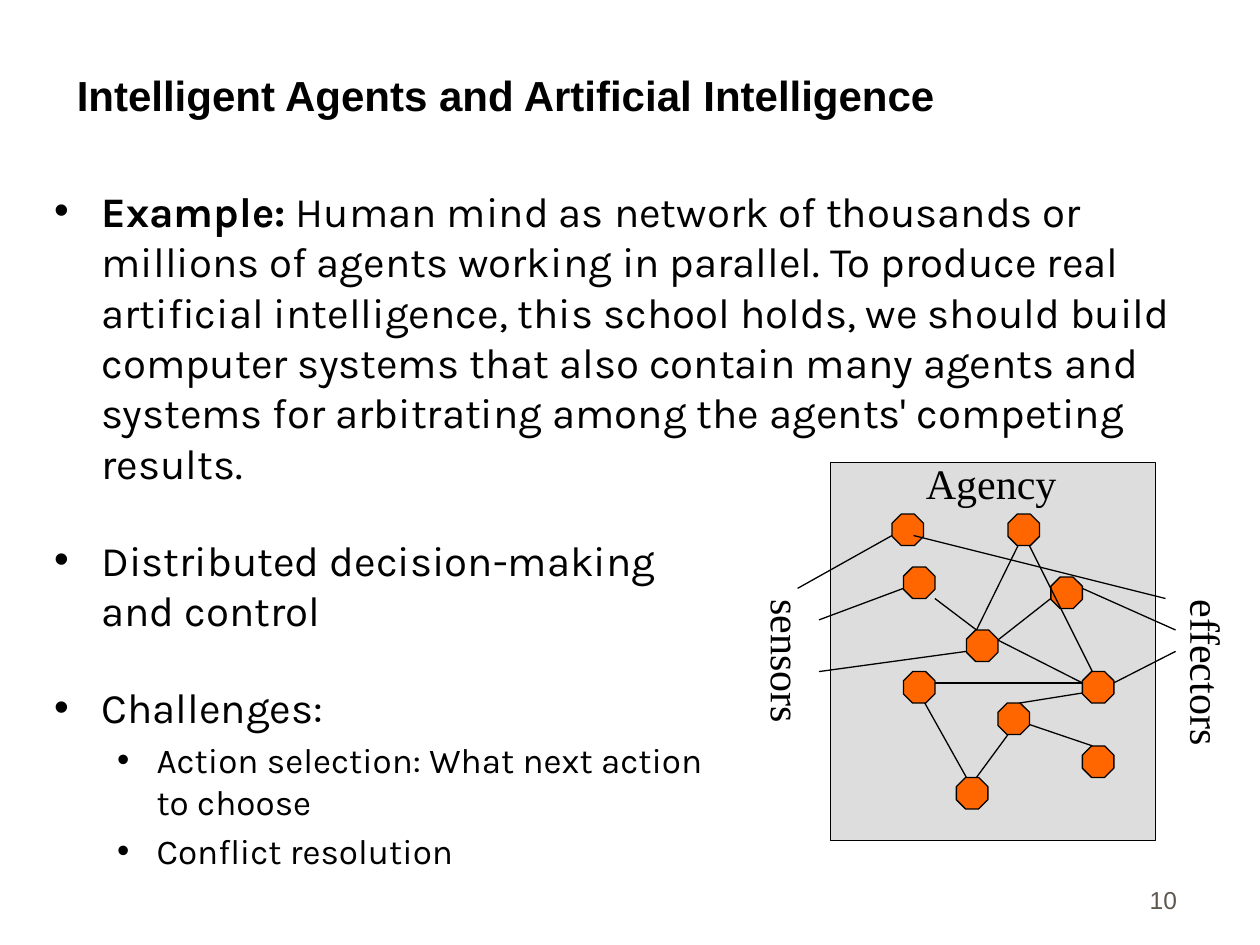
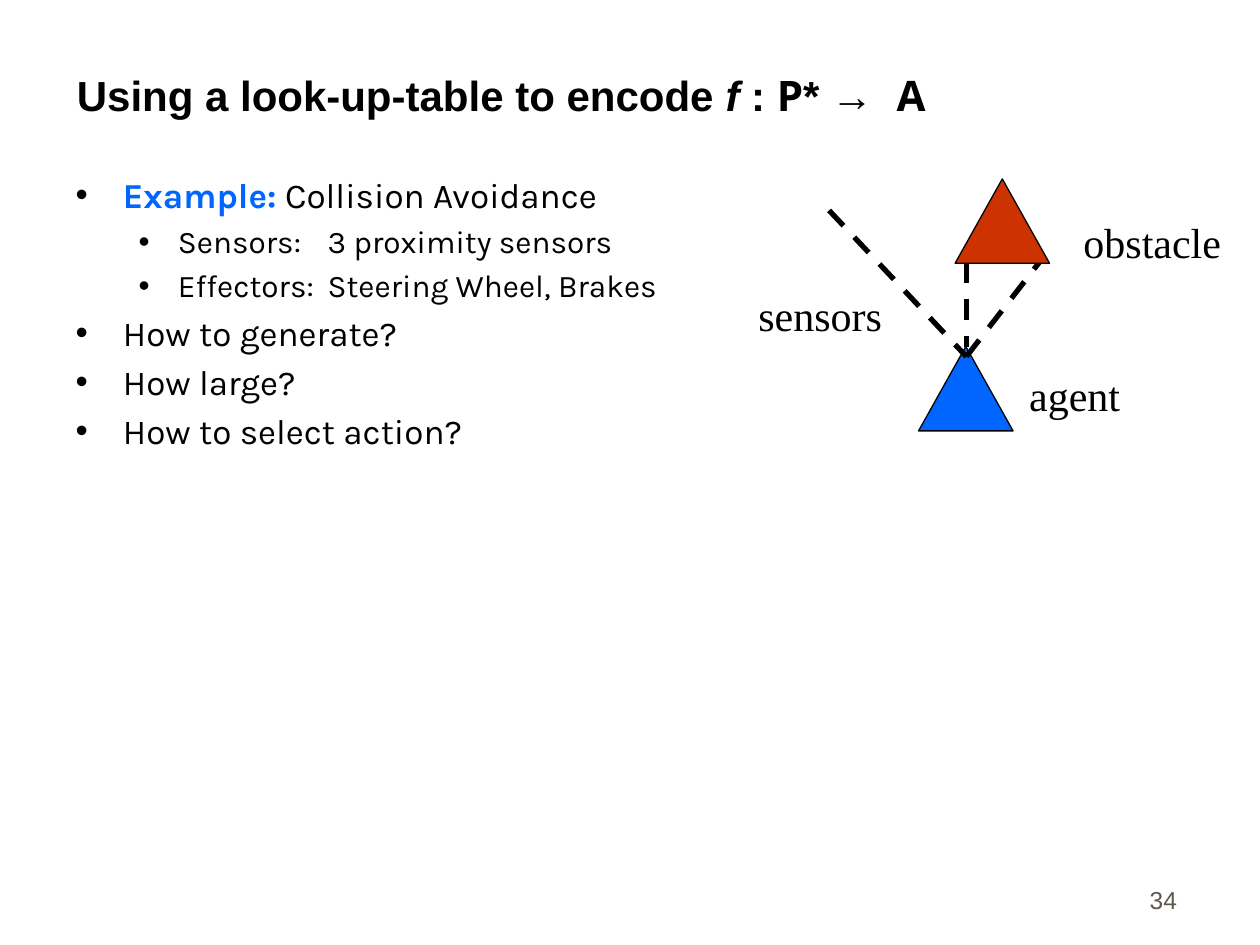
import pptx
import pptx.dml.color
import pptx.enum.dml
import pptx.enum.shapes
import pptx.enum.text
import pptx.oxml
import pptx.oxml.ns
import pptx.util

Inches = pptx.util.Inches
Pt = pptx.util.Pt
SHAPE = pptx.enum.shapes.MSO_SHAPE
ANCHOR = pptx.enum.text.MSO_ANCHOR
ALIGN = pptx.enum.text.PP_ALIGN

COLORS = {
    "ink": "000000",
    "page_number": "5E574E",
    "panel": "DDDDDD",
    "node": "FF6600",
    "agent": "0066FF",
    "obstacle": "CC3300",
}
TITLE = {"name": "Arial", "size": Pt(24), "bold": True, "color": "ink"}
BODY = {"name": "Karla", "bold": False, "color": "ink"}
LABEL = {"name": "Times New Roman", "size": Pt(24), "color": "ink"}
PAGE_NUMBER = {"name": "Arial", "size": Pt(14), "color": "page_number"}

NODE_SIZE = 0.25
NODES = [
    (7.08, 4.08), (8, 4.08), (7.17, 4.5), (8.34, 4.58), (7.67, 5),
    (7.17, 5.33), (8.59, 5.33), (7.92, 5.58), (8.59, 5.92), (7.59, 6.17),
]
SENSOR_LINKS = [
    (6.33, 4.67, 7.08, 4.25), (6.5, 4.92, 7.17, 4.67), (6.5, 5.33, 7.67, 5.17),
]
EFFECTOR_LINKS = [
    (7.25, 4.25, 9.25, 4.75), (8.59, 4.67, 9.33, 5), (8.84, 5.42, 9.33, 5.17),
]
AGENT_LINKS = [
    (7.42, 4.75, 7.75, 5), (8.08, 4.33, 7.75, 5), (7.75, 6.17, 8, 5.83),
    (7.92, 5.08, 8.59, 5.42), (8.09, 5.58, 8.59, 5.5), (7.42, 5.42, 8.59, 5.42),
    (7.92, 5.08, 8.34, 4.75), (8.17, 4.33, 8.67, 5.33), (8.67, 5.92, 8.17, 5.75),
    (7.34, 5.58, 7.67, 6.17),
]
SENSOR_RAYS = [
    (7.67, 2.83, 8.25, 2.08), (7.67, 2.08, 7.67, 2.75), (6.58, 1.67, 7.67, 2.83),
]


def rgb(color):
    return pptx.dml.color.RGBColor.from_string(COLORS[color])


def format_font(font, values):
    for key, value in values.items():
        if key == "color":
            font.color.rgb = rgb(value)
        else:
            setattr(font, key, value)


def add_run(paragraph, text, values):
    for index, line in enumerate(text.split("\n")):
        if index:
            paragraph.add_line_break()
        run = paragraph.add_run()
        run.text = line
        format_font(run.font, values)
    return run


def place(shape, left, top, width, height):
    box = {"left": left, "top": top, "width": width, "height": height}
    for key, value in box.items():
        setattr(shape, key, Inches(value))


def add_title(slide, runs):
    title = slide.shapes.title
    place(title, 0.51, 0.25, 8.92, 0.75)
    title.text_frame.auto_size = pptx.enum.text.MSO_AUTO_SIZE.NONE
    title.text_frame.vertical_anchor = ANCHOR.BOTTOM
    paragraph = title.text_frame.paragraphs[0]
    paragraph.alignment = ALIGN.LEFT
    return [add_run(paragraph, text, {**TITLE, **values}) for text, values in runs]


def add_bullet(paragraph):
    properties = paragraph._p.get_or_add_pPr()
    namespace = pptx.oxml.ns.nsdecls("a")
    for xml in (
        f'<a:buClr {namespace}><a:srgbClr val="{COLORS["ink"]}"/></a:buClr>',
        f'<a:buFont {namespace} typeface="Arial"/>',
        f'<a:buChar {namespace} char="•"/>',
    ):
        properties.append(pptx.oxml.parse_xml(xml))


def add_body(slide, box, sizes, items):
    body = slide.placeholders[1]
    place(body, *box)
    frame = body.text_frame
    frame.auto_size = pptx.enum.text.MSO_AUTO_SIZE.NONE
    for index, (level, gap, runs) in enumerate(items):
        paragraph = frame.add_paragraph() if index else frame.paragraphs[0]
        paragraph.level = level
        paragraph.space_before = Pt(gap)
        add_bullet(paragraph)
        for text, values in runs:
            add_run(paragraph, text, {**BODY, "size": Pt(sizes[level]), **values})


def add_text(shapes, text, box, values, rotation=0):
    label = shapes.add_textbox(*map(Inches, box))
    label.rotation = rotation
    label.text_frame.word_wrap = False
    add_run(label.text_frame.paragraphs[0], text, values)
    return label


def add_page_number(slide, number):
    label = add_text(slide.shapes, number, (7.36, 6.81, 2.08, 0.5), PAGE_NUMBER)
    label.text_frame.word_wrap = True
    label.text_frame.vertical_anchor = ANCHOR.BOTTOM
    label.text_frame.paragraphs[0].alignment = ALIGN.RIGHT


def add_figure(shapes, kind, box, color):
    figure = shapes.add_shape(kind, *map(Inches, box))
    figure.shadow.inherit = False
    figure.fill.solid()
    figure.fill.fore_color.rgb = rgb(color)
    figure.line.color.rgb = rgb("ink")
    figure.line.width = Pt(0.75)


def add_line(shapes, ends, width=0.75, dash=None):
    straight = pptx.enum.shapes.MSO_CONNECTOR.STRAIGHT
    line = shapes.add_connector(straight, *map(Inches, ends))
    line.line.color.rgb = rgb("ink")
    line.line.width = Pt(width)
    line.line.dash_style = dash
    effects = f'<a:effectLst {pptx.oxml.ns.nsdecls("a")}/>'
    line._element.spPr.append(pptx.oxml.parse_xml(effects))


def add_agency_diagram(slide):
    shapes = slide.shapes.add_group_shape().shapes
    add_figure(shapes, SHAPE.RECTANGLE, (6.59, 3.67, 2.58, 3), "panel")
    for left, top in NODES:
        add_figure(shapes, SHAPE.OCTAGON, (left, top, NODE_SIZE, NODE_SIZE), "node")
    add_text(shapes, "sensors", (5.58, 5.08, 1.34, 0.5), LABEL, 90)
    add_text(shapes, "effectors", (8.83, 5.16, 1.5, 0.5), LABEL, 90)
    add_text(shapes, "Agency", (7.25, 3.58, 1.33, 0.5), LABEL)
    for ends in SENSOR_LINKS + AGENT_LINKS + EFFECTOR_LINKS:
        add_line(shapes, ends)


def add_collision_diagram(slide):
    shapes = slide.shapes
    add_figure(shapes, SHAPE.ISOSCELES_TRIANGLE, (7.29, 2.75, 0.75, 0.67), "agent")
    for ends in SENSOR_RAYS:
        add_line(shapes, ends, 3, pptx.enum.dml.MSO_LINE.DASH)
    add_figure(shapes, SHAPE.ISOSCELES_TRIANGLE, (7.58, 1.42, 0.75, 0.67), "obstacle")
    add_text(shapes, "agent", (8.07, 2.88, 0.92, 0.5), LABEL)
    add_text(shapes, "obstacle", (8.5, 1.67, 1.29, 0.5), LABEL)
    add_text(shapes, "sensors", (5.92, 2.25, 1.18, 0.5), LABEL)


def add_agents_slide(presentation):
    slide = presentation.slides.add_slide(presentation.slide_layouts[1])
    add_title(slide, [("Intelligent Agents and Artificial Intelligence", {})])
    add_body(slide, (0.33, 1.42, 9.42, 5.21), (24, 20), [
        (0, 0, [
            ("Example:", {"bold": True}),
            (" Human mind as network of thousands or millions of agents working "
             "in parallel. To produce real artificial intelligence, this school "
             "holds, we should build computer systems that also contain many "
             "agents and systems for arbitrating among the agents' competing "
             "results.", {}),
        ]),
        (0, 26.6, [("Distributed decision-making\nand control", {})]),
        (0, 26.6, [("Challenges:", {})]),
        (1, 4, [("Action selection: What next action\nto choose", {})]),
        (1, 4, [("Conflict resolution", {})]),
    ])
    add_agency_diagram(slide)
    add_page_number(slide, "10")


def add_lookup_slide(presentation):
    slide = presentation.slides.add_slide(presentation.slide_layouts[1])
    symbol = {"name": "Open Sans"}
    title_runs = add_title(slide, [
        ("Using a look-up-table to encode ", {}),
        ("f ", {"italic": True}),
        (": ", {}),
        ("P", symbol),
        ("* →", {}),
        (" ", {}),
        ("A", symbol),
    ])
    title_runs[-2].font._element.set("spc", "670")
    add_body(slide, (0.5, 1.33, 8.94, 5.21), (20, 18), [
        (0, 0, [
            ("Example:", {"bold": True, "color": "agent"}),
            (" Collision Avoidance", {}),
        ]),
        (1, 3.6, [("Sensors:\t3 proximity sensors", {})]),
        (1, 3.6, [("Effectors:\tSteering Wheel, Brakes", {})]),
        (0, 4, [("How to generate?", {})]),
        (0, 4, [("How large?", {})]),
        (0, 4, [("How to select action?", {})]),
    ])
    add_collision_diagram(slide)
    add_page_number(slide, "34")


def main():
    presentation = pptx.Presentation()
    presentation.slide_width = Inches(10)
    presentation.slide_height = Inches(7.5)
    add_agents_slide(presentation)
    add_lookup_slide(presentation)
    presentation.save("out.pptx")


if __name__ == "__main__":
    main()
